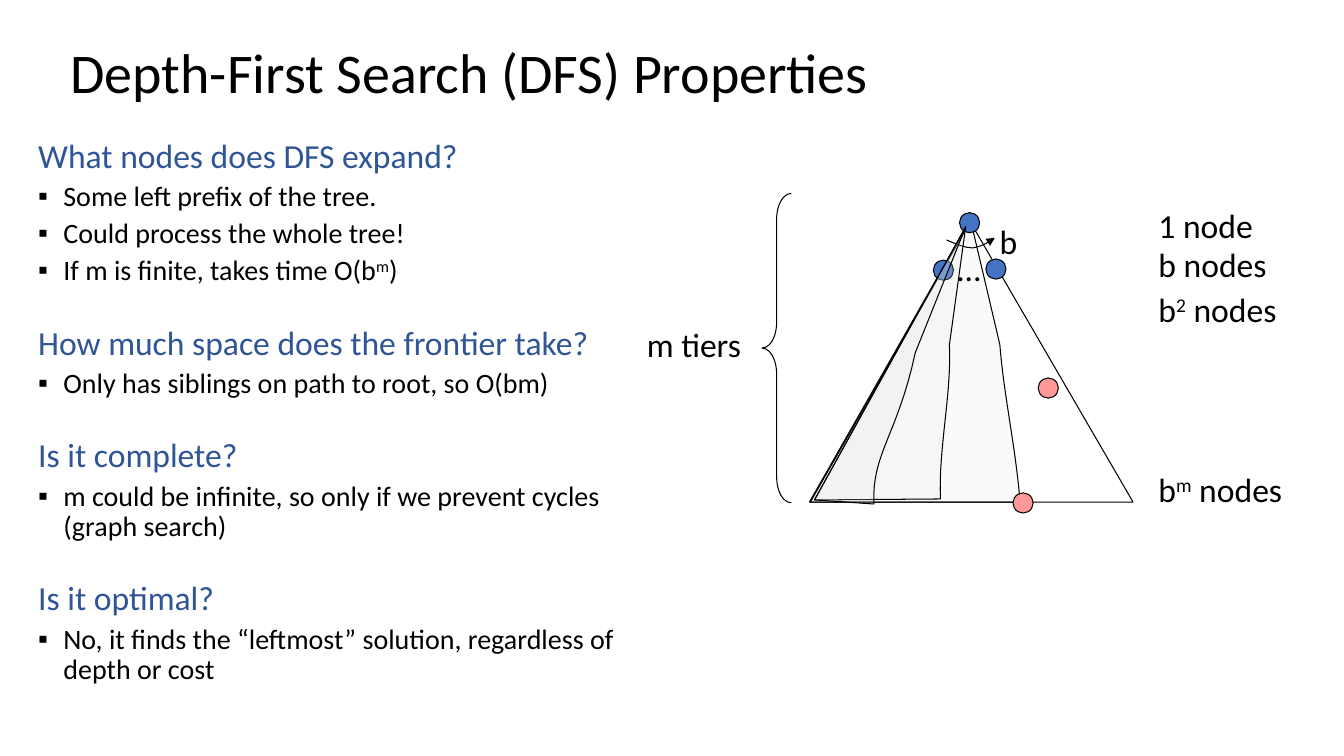
from lxml import etree
from pptx import Presentation
from pptx.dml.color import RGBColor
from pptx.enum.shapes import MSO_SHAPE
from pptx.enum.text import MSO_ANCHOR, PP_ALIGN
from pptx.oxml.ns import qn
from pptx.util import Pt

OVAL = MSO_SHAPE.OVAL
LEFT_BRACE = MSO_SHAPE.LEFT_BRACE
TOP = MSO_ANCHOR.TOP
MIDDLE = MSO_ANCHOR.MIDDLE
LEFT = PP_ALIGN.LEFT

BLACK = RGBColor(0x00, 0x00, 0x00)
HEADING_BLUE = RGBColor(0x2F, 0x55, 0x97)
NODE_BLUE = RGBColor(0x44, 0x72, 0xC4)
GOAL_PINK = RGBColor(0xFF, 0x99, 0x99)
SUBTREE_GREY = RGBColor(0xE7, 0xE6, 0xE6)


def bezier(start, first, second, end, steps=16):
    points = []
    for step in range(1, steps + 1):
        t = step / steps
        weights = ((1 - t) ** 3, 3 * t * (1 - t) ** 2, 3 * t * t * (1 - t), t ** 3)
        corners = (start, first, second, end)
        points.append(tuple(sum(w * c[axis] for w, c in zip(weights, corners))
                            for axis in (0, 1)))
    return points


class SlideBuilder:
    font_name = "Calibri"
    line_width = Pt(0.75)
    node_size = 14.4

    def __init__(self, page):
        self.page = page

    def outline(self, shape, fill=None, opacity=None):
        shape.shadow.inherit = False
        shape.line.color.rgb = BLACK
        shape.line.width = self.line_width
        if fill is None:
            shape.fill.background()
            return shape
        shape.fill.solid()
        shape.fill.fore_color.rgb = fill
        if opacity is not None:
            color = shape._element.spPr.find(qn("a:solidFill")).find(qn("a:srgbClr"))
            etree.SubElement(color, qn("a:alpha")).set("val", str(opacity * 1000))
        return shape

    def preset(self, kind, left, top, width, height, fill=None):
        shape = self.page.shapes.add_shape(kind, Pt(left), Pt(top), Pt(width), Pt(height))
        return self.outline(shape, fill)

    def node(self, left, top, fill):
        return self.preset(OVAL, left, top, self.node_size, self.node_size, fill)

    def freeform(self, points, close=True, fill=None, opacity=None):
        vertices = [(Pt(x), Pt(y)) for x, y in points]
        builder = self.page.shapes.build_freeform(*vertices[0])
        builder.add_line_segments(vertices[1:], close=close)
        return self.outline(builder.convert_to_shape(), fill, opacity)

    def subtree(self, corner, base, first, second, bend, apex):
        points = [corner, base, *bezier(base, first, second, bend), apex]
        return self.freeform(points, fill=SUBTREE_GREY, opacity=20)

    def arrow_curve(self, points):
        shape = self.freeform(points, close=False)
        line = shape._element.spPr.find(qn("a:ln"))
        etree.SubElement(line, qn("a:tailEnd")).set("type", "triangle")

    def frame(self, left, top, width, height):
        box = self.page.shapes.add_textbox(Pt(left), Pt(top), Pt(width), Pt(height))
        box.text_frame.word_wrap = True
        box.text_frame.vertical_anchor = TOP
        return box.text_frame

    def add_spans(self, para, spans, size, color):
        for index, text in enumerate(spans):
            span = para.add_run()
            span.text = text
            span.font.name = self.font_name
            span.font.size = Pt(size)
            span.font.color.rgb = color
            if index % 2:
                span._r.get_or_add_rPr().set("baseline", "30000")

    def title(self, text):
        box = self.page.shapes.title
        box.left, box.top, box.width, box.height = Pt(43.2), Pt(28.8), Pt(828), Pt(49.7)
        box.text_frame.vertical_anchor = MIDDLE
        para = box.text_frame.paragraphs[0]
        para.alignment = LEFT
        para.line_spacing = 0.9
        self.add_spans(para, [text], 40, BLACK)

    def label(self, left, top, width, *spans):
        frame = self.frame(left, top, width, 36)
        self.add_spans(frame.paragraphs[0], spans, 24, BLACK)

    def bullet(self, para):
        properties = para._p.get_or_add_pPr()
        properties.set("marL", str(Pt(18)))
        properties.set("indent", str(Pt(-18)))
        etree.SubElement(properties, qn("a:buFont")).set("typeface", "Arial")
        etree.SubElement(properties, qn("a:buChar")).set("char", "▪")

    def outline_text(self, sections):
        frame = self.frame(20.2, 95.8, 429.8, 372.2)
        for number, (heading, items) in enumerate(sections):
            para = frame.add_paragraph() if number else frame.paragraphs[0]
            para.line_spacing = 0.9
            para.space_before = Pt(28 if number else 0)
            self.add_spans(para, [heading], 24, HEADING_BLUE)
            for spans in items:
                para = frame.add_paragraph()
                para.line_spacing = 0.9
                para.space_before = Pt(5)
                self.bullet(para)
                self.add_spans(para, spans, 20, BLACK)


SECTIONS = [
    ("What nodes does DFS expand?",
     [["Some left prefix of the tree."],
      ["Could process the whole tree!"],
      ["If m is finite, takes time O(b", "m", ")"]]),
    ("How much space does the frontier take?",
     [["Only has siblings on path to root, so O(bm)"]]),
    ("Is it complete?",
     [["m could be infinite, so only if we prevent cycles (graph search)"]]),
    ("Is it optimal?",
     [["No, it finds the “leftmost” solution, regardless of depth or cost"]]),
]


def main():
    deck = Presentation()
    deck.slide_width, deck.slide_height = Pt(960), Pt(540)
    slide = SlideBuilder(deck.slides.add_slide(deck.slide_layouts[5]))
    slide.title("Depth-First Search (DFS) Properties")

    slide.subtree((578.9, 358.6), (728.6, 358.6), (725.8, 321.1),
                  (717.1, 283), (714.2, 246.2), (693.4, 157.7))
    slide.freeform([(578.2, 358.6), (809.3, 358.6), (692.6, 157.7)])
    for left, top in ((685.4, 151.9), (666.7, 185.8), (704.2, 185)):
        slide.node(left, top, NODE_BLUE)
    slide.label(676.8, 173.5, 21.6, "…")

    arc_start, arc_middle, arc_end = (676.1, 171.4), (694.8, 177.1), (710.6, 169.9)
    slide.arrow_curve([
        arc_start,
        *bezier(arc_start, (682.6, 174.2), (689, 177.1), arc_middle, 4),
        *bezier(arc_middle, (700.6, 176.4), (705.6, 173.5), arc_end, 4)])
    slide.label(707, 154.1, 23.8, "b")

    for top, spans in ((142.6, ["1 node"]), (170.6, ["b nodes"]),
                       (203, ["b", "2", " nodes"]), (331.2, ["b", "m", " nodes"])):
        slide.label(820.4, top, 115.2, *spans)

    slide.node(723.6, 352.1, GOAL_PINK)
    brace = slide.preset(LEFT_BRACE, 544.3, 138.2, 20.9, 221)
    brace.adjustments[0] = 0.88
    slide.label(455, 228.2, 99.4, "m tiers")
    slide.outline_text(SECTIONS)

    corner, apex = (581.8, 357.1), (689.8, 162)
    slide.subtree(corner, (671.8, 356.4), (670.3, 319.7), (679.7, 283), (678.2, 246.2), apex)
    slide.subtree(corner, (624.2, 360), (622.8, 323.3), (640.8, 311.8), (653.8, 252), apex)
    slide.node(741.6, 270, GOAL_PINK)

    deck.save("out.pptx")


if __name__ == "__main__":
    main()
